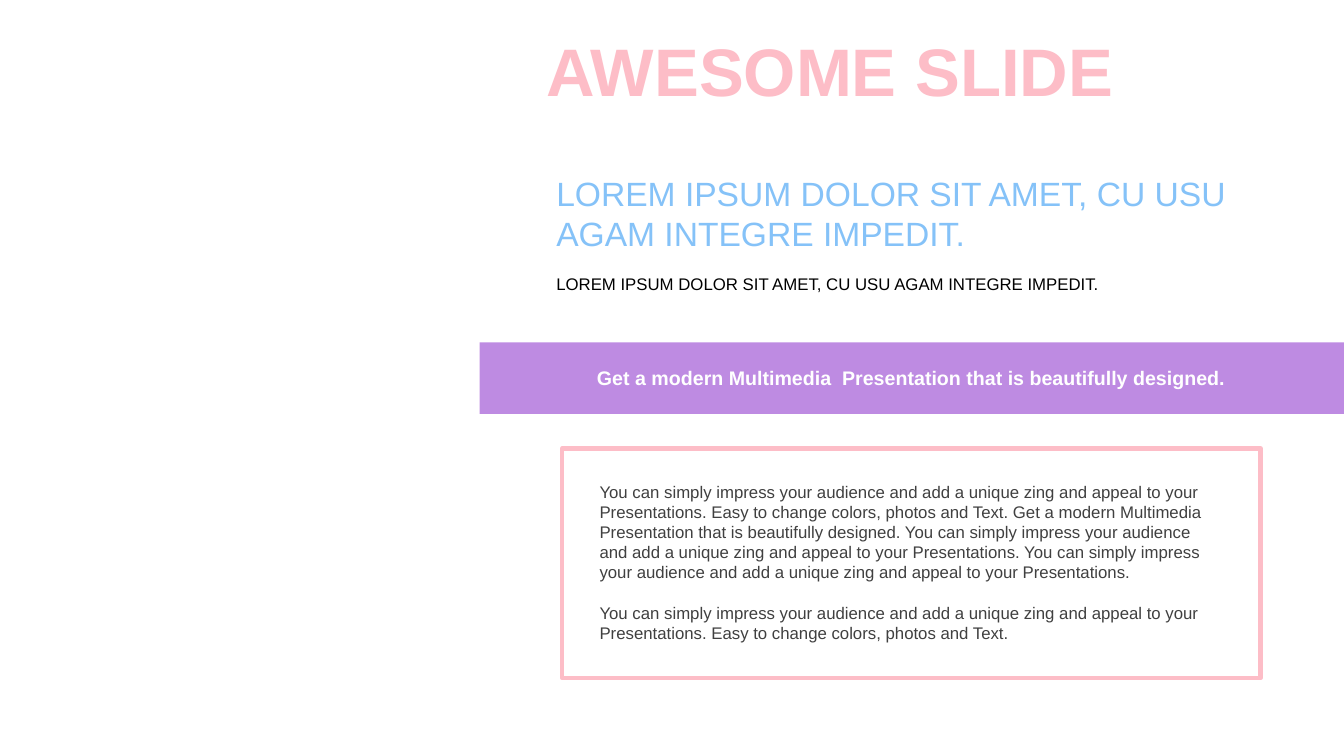
import dataclasses

import pptx
import pptx.dml.color
import pptx.enum.shapes
import pptx.enum.text
import pptx.util

Cm = pptx.util.Cm
Pt = pptx.util.Pt
Rgb = pptx.dml.color.RGBColor.from_string
Align = pptx.enum.text.PP_ALIGN
Anchor = pptx.enum.text.MSO_ANCHOR
Rect = pptx.enum.shapes.MSO_SHAPE.RECTANGLE


@dataclasses.dataclass(frozen=True)
class Theme:
    """Hold the colours, font and type sizes of the slide."""
    font: str = "Arial"
    pink: str = "FDBDC7"
    blue: str = "85C2F8"
    plum: str = "BE8BE2"
    black: str = "000000"
    grey: str = "404040"
    white: str = "FFFFFF"
    head: int = 48
    lead: int = 24
    band: int = 14
    body: int = 12


THEME = Theme()
LOREM = "LOREM IPSUM DOLOR SIT AMET, CU USU AGAM INTEGRE IMPEDIT."
CLAIM = "Get a modern Multimedia  Presentation that is beautifully designed."
ZING = ("You can simply impress your audience and add a unique zing "
        "and appeal to your Presentations.")
EASY = "Easy to change colors, photos and Text."
STORY = f"{ZING} {EASY} {CLAIM} {ZING} {ZING}\n{ZING} {EASY}"


def style(frame, text, size, color, bold=False, align=Align.LEFT, anchor=Anchor.TOP):
    """Fill a text frame and format its runs."""
    frame.word_wrap = True
    frame.vertical_anchor = anchor
    frame.text = text
    for para in frame.paragraphs:
        para.alignment = align
        for run in para.runs:
            run.font.name = THEME.font
            run.font.size = Pt(size)
            run.font.bold = bold
            run.font.color.rgb = Rgb(color)


def write(slide, box, text, size, color, **look):
    """Add a text box and return its frame."""
    frame = slide.shapes.add_textbox(*map(Cm, box)).text_frame
    style(frame, text, size, color, **look)
    return frame


def block(slide, box):
    """Add a plain rectangle without fill, line or shadow."""
    shape = slide.shapes.add_shape(Rect, *map(Cm, box))
    shape.shadow.inherit = False
    shape.fill.background()
    shape.line.fill.background()
    return shape


def title(slide, box):
    """Place and format the title."""
    head = slide.shapes.title
    head.left, head.top, head.width, head.height = map(Cm, box)
    style(head.text_frame, "AWESOME SLIDE", THEME.head, THEME.pink,
          bold=True, anchor=Anchor.MIDDLE)
    head.text_frame.paragraphs[0].line_spacing = 0.9


def intro(slide, box):
    """Place the large lead and the small line under it."""
    left, top, width, height = box
    write(slide, (left, top, width, 2.31), LOREM, THEME.lead, THEME.blue,
          anchor=Anchor.MIDDLE)
    write(slide, (left, top + height - 0.76, width, 0.76), LOREM, THEME.body,
          THEME.black, anchor=Anchor.MIDDLE)


def banner(slide, box):
    """Place the coloured band and its centred claim."""
    left, top, width, height = box
    band = block(slide, box)
    band.fill.solid()
    band.fill.fore_color.rgb = Rgb(THEME.plum)
    write(slide, (left + 2.08, top + 0.46, width - 4.18, height - 0.94), CLAIM,
          THEME.band, THEME.white, bold=True, align=Align.CENTER)


def story(slide, box):
    """Place the outlined frame and the paragraphs inside it."""
    left, top, width, height = box
    edge = block(slide, box).line
    edge.color.rgb = Rgb(THEME.pink)
    edge.width = Pt(3)
    inner = (left + 0.69, top + 0.71, width - 1.38, height - 1.42)
    text = write(slide, inner, STORY, THEME.body, THEME.grey)
    text.paragraphs[1].space_before = Pt(14.4)


def main():
    """Build the slide and save it."""
    deck = pptx.Presentation()
    deck.slide_width, deck.slide_height = Cm(33.87), Cm(19.05)
    slide = deck.slides.add_slide(deck.slide_layouts.get_by_name("Title Only"))
    title(slide, (13.51, 0.89, 15.21, 1.98))
    intro(slide, (13.77, 4.22, 18.01, 3.3))
    banner(slide, (12.09, 8.63, 21.78, 1.8))
    story(slide, (14.17, 11.3, 17.6, 5.79))
    deck.save("out.pptx")


if __name__ == "__main__":
    main()
